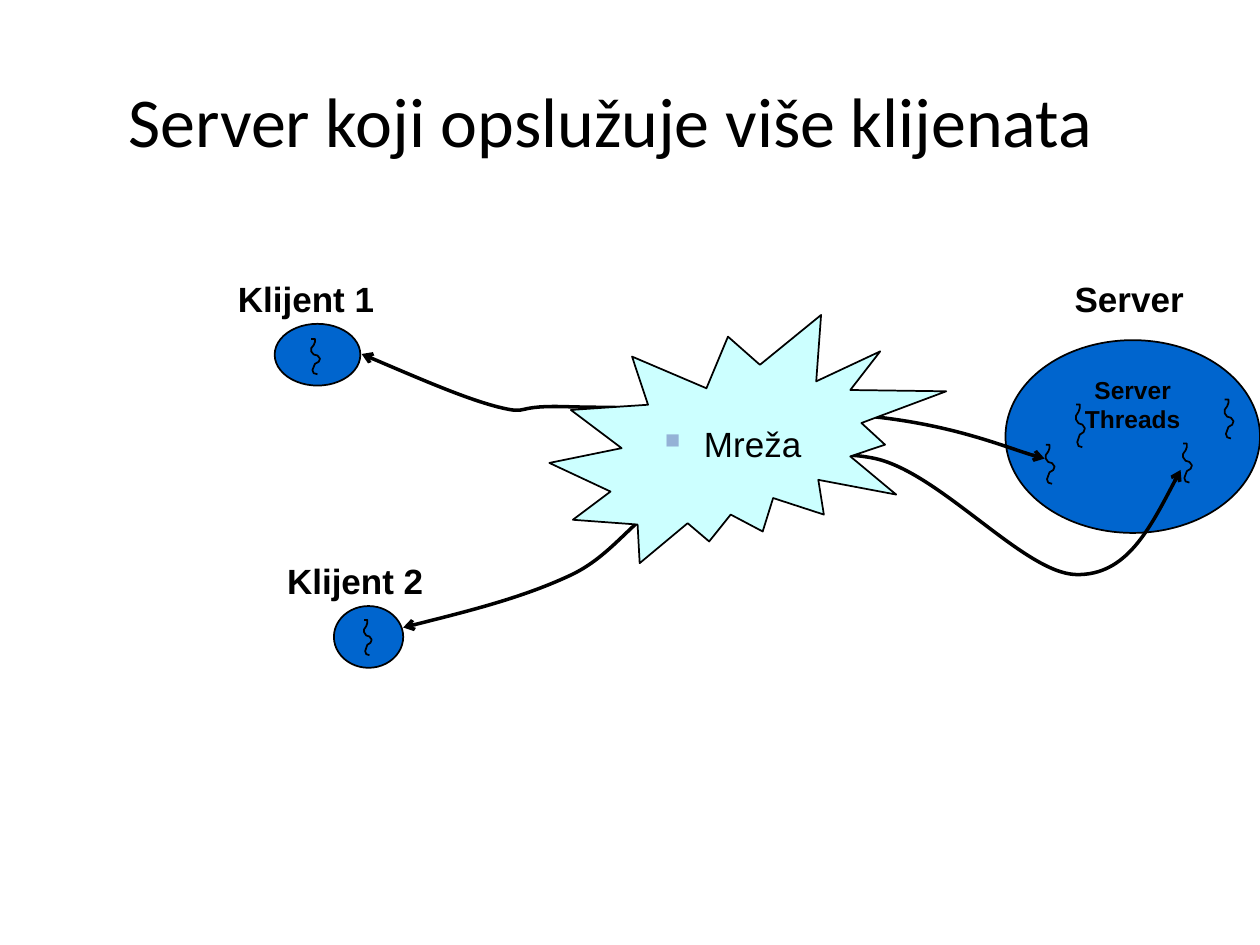
import pptx
import pptx.util
import pptx.dml.color
import pptx.enum.shapes
import pptx.enum.text
import pptx.oxml
import pptx.oxml.ns
from pptx.util import Inches

SHAPE = pptx.enum.shapes.MSO_SHAPE
ALIGN = pptx.enum.text.PP_ALIGN
ANCHOR = pptx.enum.text.MSO_ANCHOR

THEME = {
    "ink": "000000", "node": "0065CE", "network": "CCFFFF", "bullet": "94B2D6",
    "title_font": "Calibri", "body_font": "Arial",
    "title": 40, "label": 20, "threads": 14, "outline": 1, "link": 2,
}

# Content: boxes are left, top, width, height in inches
TITLE = ("Server koji opslužuje više klijenata", (0.92, 0.3, 8.95, 1.03))
LABELS = [
    ("Server", (8.43, 2.15, 1.22, 0.43)),
    ("Klijent 1", (1.79, 2.15, 2.5, 0.43)),
    ("Klijent 2", (2.18, 4.39, 1.32, 0.43)),
]
SERVER = ("Server\nThreads", (7.98, 2.7, 2.02, 1.53))
NETWORK = ("Mreža", (4.36, 2.5, 3.15, 1.97))
CLIENTS = [(2.18, 2.57, 0.68, 0.49), (2.65, 4.81, 0.55, 0.49)]
THREADS = [
    (8.3, 3.53, 0.07, 0.31), (8.54, 3.21, 0.07, 0.34),
    (9.39, 3.52, 0.07, 0.31), (9.72, 3.17, 0.07, 0.31),
    (2.47, 2.69, 0.07, 0.28), (2.89, 4.92, 0.06, 0.28),
]
# Thread outline, drawn for a box of THREAD_SIZE and scaled to each place
THREAD_SIZE = (0.07, 0.34)
THREAD_OUTLINE = [
    (0, 0), (0.03, 0), (0.03, 0.03), (0.02, 0.06), (0, 0.09), (0, 0.12),
    (0.02, 0.15), (0.05, 0.16), (0.07, 0.19), (0.06, 0.22), (0.03, 0.24),
    (0.02, 0.27), (0.01, 0.3), (0.02, 0.33), (0.05, 0.34),
]
# Links: a start point, then three control points for each curve
LINKS = [
    [(2.87, 2.81), (3.27, 2.98), (3.68, 3.16), (3.95, 3.23),
     (4.23, 3.3), (4.04, 3.21), (4.54, 3.23),
     (5.04, 3.24), (6.33, 3.24), (6.95, 3.31),
     (7.58, 3.38), (8.08, 3.59), (8.29, 3.64)],
    [(3.2, 4.98), (3.68, 4.86), (4.16, 4.74), (4.54, 4.56),
     (4.91, 4.38), (5.05, 4.05), (5.45, 3.89),
     (5.86, 3.74), (6.44, 3.53), (6.95, 3.64),
     (7.47, 3.76), (8.13, 4.55), (8.54, 4.56),
     (8.94, 4.57), (9.15, 4.15), (9.37, 3.73)],
]


def rgb(name):
    return pptx.dml.color.RGBColor.from_string(THEME[name])


def add_element(parent, tag, **attributes):
    element = pptx.oxml.parse_xml(f"<a:{tag} {pptx.oxml.ns.nsdecls('a')}/>")
    for key, value in attributes.items():
        element.set(key, str(value))
    parent.append(element)
    return element


def add_bullet(para):
    properties = para._p.get_or_add_pPr()
    properties.set("marL", str(Inches(0.31)))
    properties.set("indent", str(-Inches(0.31)))
    color = add_element(properties, "buClr")
    add_element(color, "srgbClr", val=THEME["bullet"])
    add_element(properties, "buSzPct", val=60000)
    add_element(properties, "buChar", char="■")


def write(box, text, size="label", font="body_font", bold=False, align=ALIGN.LEFT,
          anchor=ANCHOR.TOP, wrap=True, bullet=False):
    frame = box.text_frame
    frame.word_wrap = wrap
    frame.vertical_anchor = anchor
    for index, line in enumerate(text.split("\n")):
        para = frame.add_paragraph() if index else frame.paragraphs[0]
        if bullet:
            add_bullet(para)
        para.alignment = align
        span = para.add_run()
        span.text = line
        span.font.name = THEME[font]
        span.font.size = pptx.util.Pt(THEME[size])
        span.font.bold = bold
        span.font.color.rgb = rgb("ink")


def paint(shape, fill=None, width="outline"):
    shape.shadow.inherit = False
    if fill:
        shape.fill.solid()
        shape.fill.fore_color.rgb = rgb(fill)
    else:
        shape.fill.background()
    shape.line.color.rgb = rgb("ink")
    shape.line.width = pptx.util.Pt(THEME[width])
    return shape


def add_preset(page, kind, place, fill):
    return paint(page.shapes.add_shape(kind, *map(Inches, place)), fill)


def add_text(page, text, place, **style):
    write(page.shapes.add_textbox(*map(Inches, place)), text, **style)


def add_outline(page, points):
    start, *rest = [(Inches(x), Inches(y)) for x, y in points]
    builder = page.shapes.build_freeform(*start)
    builder.add_line_segments(rest, close=False)
    return builder.convert_to_shape()


def add_thread(page, place):
    left, top, width, height = place
    across, down = width / THREAD_SIZE[0], height / THREAD_SIZE[1]
    points = [(left + x * across, top + y * down) for x, y in THREAD_OUTLINE]
    paint(add_outline(page, points), "node")


def add_link(page, points):
    link = paint(add_outline(page, points), width="link")
    # Turn each three straight segments into one Bezier curve
    segments = link._element.findall(".//" + pptx.oxml.ns.qn("a:lnTo"))
    outline = segments[0].getparent()
    for first in range(0, len(segments), 3):
        curve = add_element(outline, "cubicBezTo")
        for segment in segments[first:first + 3]:
            curve.append(segment[0])
            outline.remove(segment)
    for end in ("headEnd", "tailEnd"):
        add_element(link.line._get_or_add_ln(), end, type="arrow")


def main():
    deck = pptx.Presentation()
    deck.slide_width, deck.slide_height = Inches(10), Inches(7.5)
    page = deck.slides.add_slide(deck.slide_layouts[6])

    # Server and clients with their threads
    text, place = SERVER
    server = add_preset(page, SHAPE.OVAL, place, "node")
    write(server, text, size="threads", bold=True, align=ALIGN.CENTER, wrap=False)
    for place in CLIENTS:
        add_preset(page, SHAPE.OVAL, place, "node")
    for place in THREADS:
        add_thread(page, place)

    # Labels and title
    for text, place in LABELS:
        add_text(page, text, place, bold=True)
    add_text(page, *TITLE, size="title", font="title_font",
             align=ALIGN.JUSTIFY, anchor=ANCHOR.BOTTOM)

    # Links run behind the network burst
    for points in LINKS:
        add_link(page, points)
    text, place = NETWORK
    network = add_preset(page, SHAPE.EXPLOSION2, place, "network")
    write(network, text, align=ALIGN.CENTER, anchor=ANCHOR.MIDDLE, wrap=False, bullet=True)

    deck.save("out.pptx")


if __name__ == "__main__":
    main()
